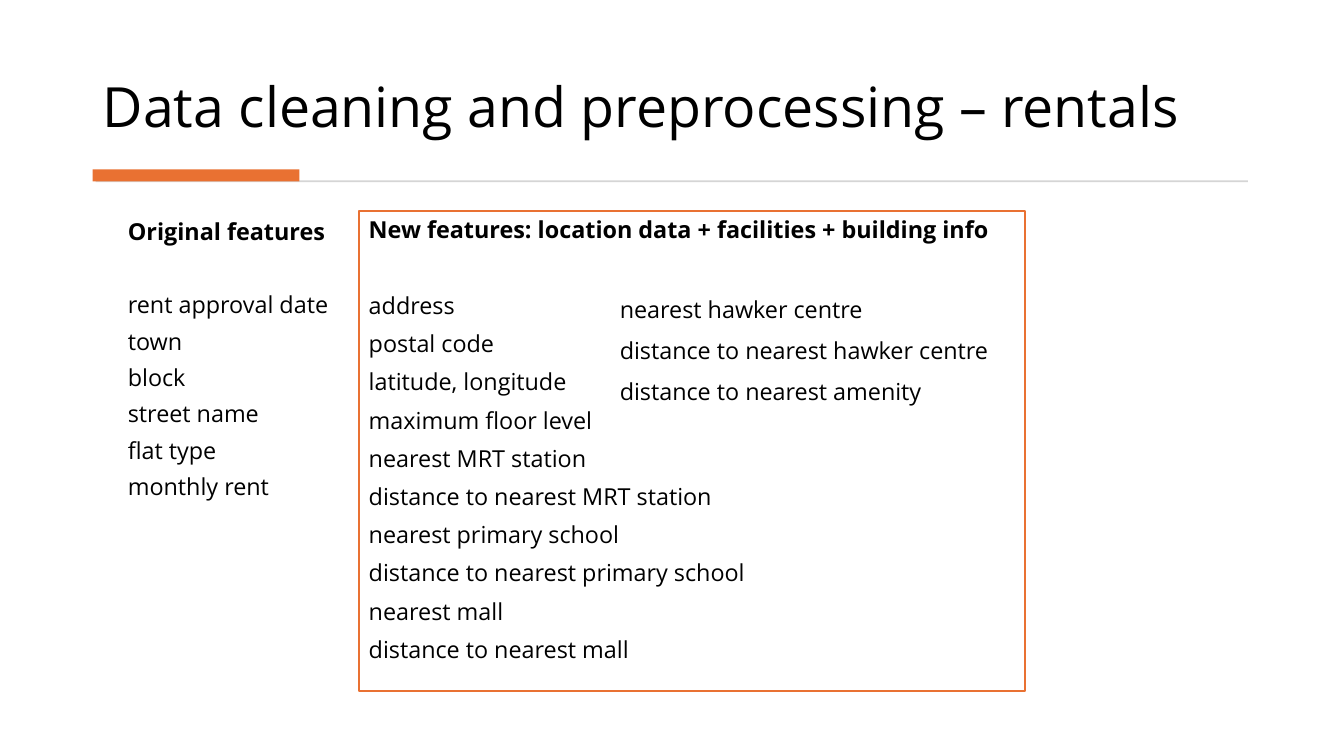
from pptx import Presentation
from pptx.dml.color import RGBColor
from pptx.enum import shapes, text
from pptx.util import Pt

FONT = "Open Sans"
BLACK, ORANGE, GREY = "000000", "E97132", "D5D5D5"
BODY_SIZE = 16.7

ORIGINAL_FEATURES = [
    "rent approval date", "town", "block", "street name", "flat type", "monthly rent",
]
NEW_FEATURES = [
    "address", "postal code", "latitude, longitude", "maximum floor level",
    "nearest MRT station", "distance to nearest MRT station",
    "nearest primary school", "distance to nearest primary school",
    "nearest mall", "distance to nearest mall",
]
MORE_FEATURES = [
    "nearest hawker centre", "distance to nearest hawker centre",
    "distance to nearest amenity",
]


def color(value):
    """Turn a hex string into a colour."""
    return RGBColor.from_string(value)


def add_rectangle(slide, left, top, width, height, fill=None, line=None):
    """Add a rectangle with an optional fill and outline."""
    shape = slide.shapes.add_shape(
        shapes.MSO_SHAPE.RECTANGLE, Pt(left), Pt(top), Pt(width), Pt(height))
    shape.shadow.inherit = False
    if fill:
        shape.fill.solid()
        shape.fill.fore_color.rgb = color(fill)
    else:
        shape.fill.background()
    if line:
        shape.line.color.rgb = color(line)
        shape.line.width = Pt(1.5)
    else:
        shape.line.fill.background()
    return shape


def add_text_box(slide, left, top, width, height):
    """Add an empty text box."""
    return slide.shapes.add_textbox(Pt(left), Pt(top), Pt(width), Pt(height))


def prepare_frame(shape, anchor, top_inset, bottom_inset):
    """Set wrapping, anchor and insets, and return the text frame."""
    frame = shape.text_frame
    frame.word_wrap = True
    frame.vertical_anchor = anchor
    frame.margin_left = frame.margin_right = Pt(7.2)
    frame.margin_top, frame.margin_bottom = Pt(top_inset), Pt(bottom_inset)
    return frame


def style_paragraph(paragraph, content, size, bold=False):
    """Write left-aligned black text into a paragraph."""
    paragraph.text = content
    paragraph.alignment = text.PP_ALIGN.LEFT
    paragraph.font.name = FONT
    paragraph.font.size = Pt(size)
    paragraph.font.bold = bold
    paragraph.font.color.rgb = color(BLACK)


def write_features(shape, features, line_height, gap, heading=None, heading_gap=0):
    """Fill a shape with a feature list under an optional bold heading."""
    frame = prepare_frame(shape, text.MSO_ANCHOR.TOP, 4.9, 3.6)
    lines = [heading] + features if heading else features
    for index, content in enumerate(lines):
        paragraph = frame.add_paragraph() if index else frame.paragraphs[0]
        style_paragraph(paragraph, content, BODY_SIZE, bold=content == heading)
        paragraph.line_spacing = Pt(line_height)
        if index:
            paragraph.space_before = Pt(heading_gap if heading and index == 1 else gap)


def add_title(slide, content):
    """Add the title above two rules."""
    box = add_text_box(slide, 66.24, 20.16, 827.3, 79.9)
    frame = prepare_frame(box, text.MSO_ANCHOR.BOTTOM, 3.6, 0.6)
    style_paragraph(frame.paragraphs[0], content, 39.6)
    frame.paragraphs[0].line_spacing = 0.9
    add_rectangle(slide, 68.4, 128.8, 823, 1.4, fill=GREY)
    add_rectangle(slide, 66.24, 121, 147.6, 8.6, fill=ORANGE)


def main():
    """Build the slide and save it."""
    presentation = Presentation()
    presentation.slide_width, presentation.slide_height = Pt(960), Pt(540)
    slide = presentation.slides.add_slide(presentation.slide_layouts[6])

    add_title(slide, "Data cleaning and preprocessing – rentals")
    write_features(add_text_box(slide, 84.24, 150.5, 171.4, 343.4),
                   ORIGINAL_FEATURES, 20, 6, "Original features", 32)
    write_features(add_rectangle(slide, 256.3, 150.5, 475.9, 343.4, line=ORANGE),
                   NEW_FEATURES, 18, 9.3,
                   "New features: location data + facilities + building info", 36.6)
    write_features(add_text_box(slide, 435.6, 205.9, 295.9, 87.1),
                   MORE_FEATURES, 20, 9.3)

    presentation.save("out.pptx")


if __name__ == "__main__":
    main()
